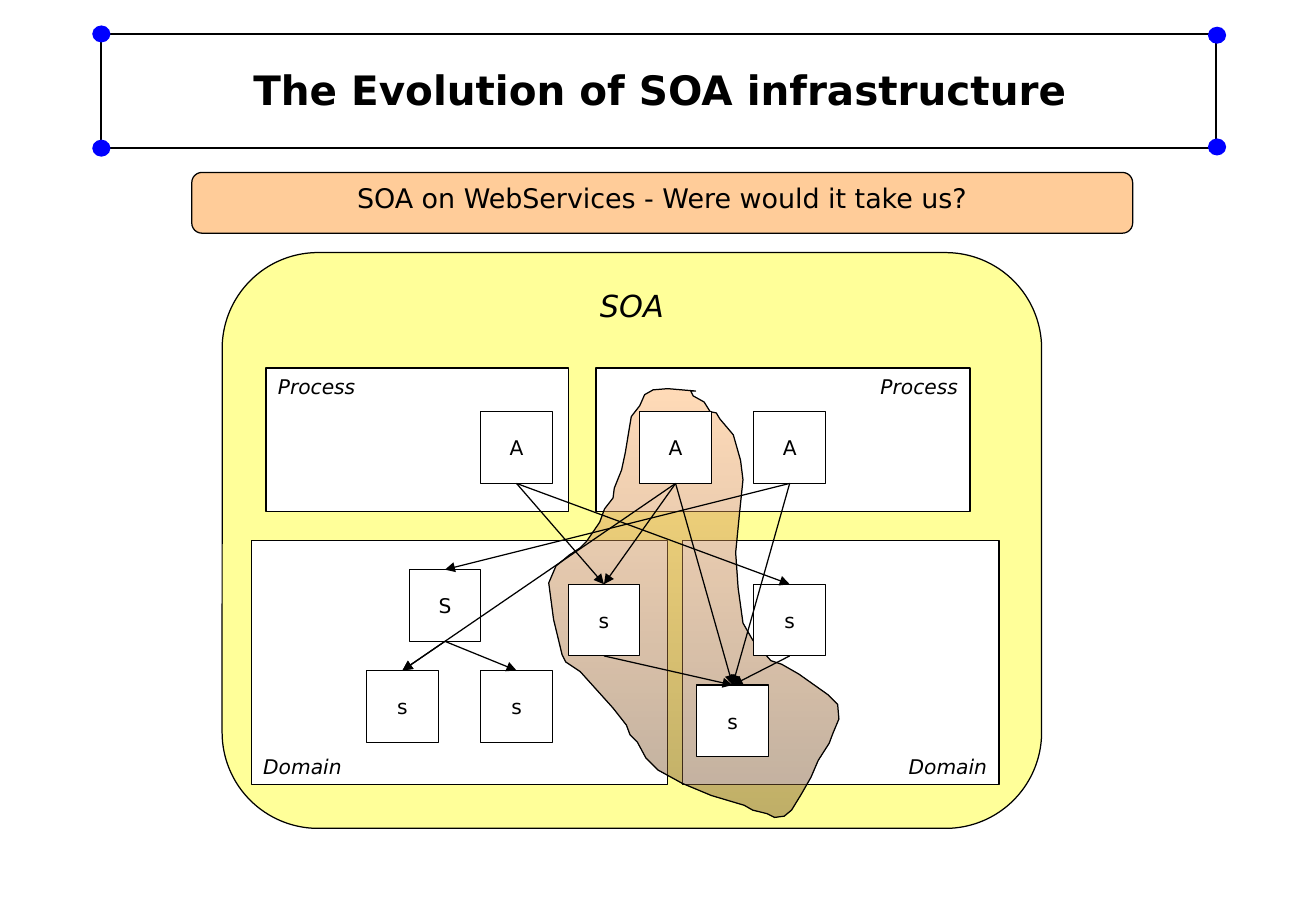
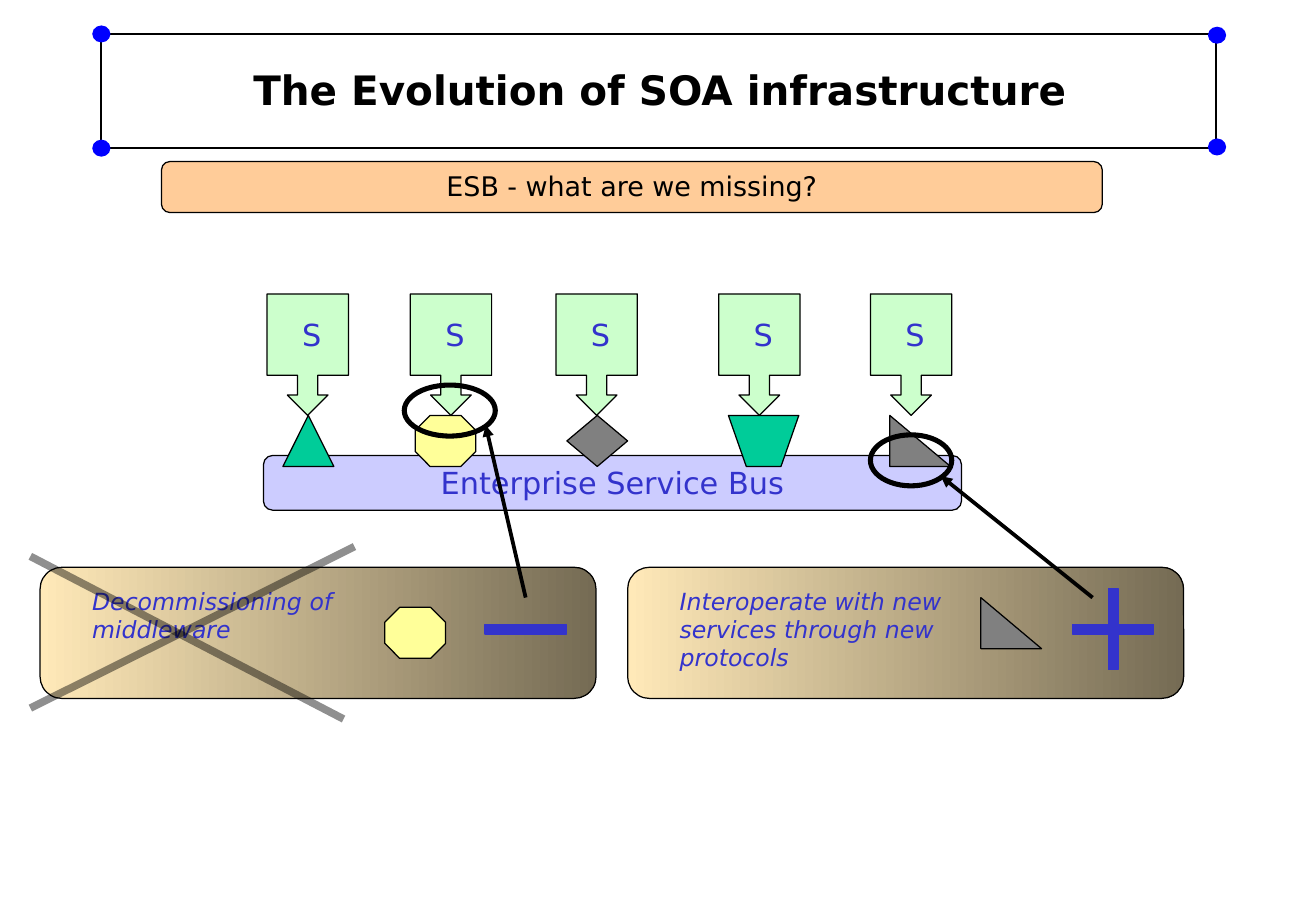
"""Build two slides on the evolution of SOA infrastructure."""
from lxml.etree import SubElement
from pptx import Presentation
from pptx.dml.color import RGBColor
from pptx.enum.shapes import MSO_CONNECTOR, MSO_SHAPE
from pptx.enum.text import MSO_ANCHOR, PP_ALIGN
from pptx.oxml.ns import qn
from pptx.util import Inches, Pt

BLACK, WHITE, INDIGO = "000000", "FFFFFF", "3333CC"
PEACH, YELLOW, GREEN, GRAY = "FFCC99", "FFFF99", "00CC99", "808080"
LEFT, CENTER, RIGHT = PP_ALIGN.LEFT, PP_ALIGN.CENTER, PP_ALIGN.RIGHT
TOP, MIDDLE, BOTTOM = MSO_ANCHOR.TOP, MSO_ANCHOR.MIDDLE, MSO_ANCHOR.BOTTOM


def paint(item, fill=(), line=BLACK, width=0.75, angle=0, opacity=100, arrow=False):
    """Set fill colours (none, one, or two for a gradient) and the outline."""
    if line:
        item.line.color.rgb = RGBColor.from_string(line)
        item.line.width = Pt(width)
    else:
        item.line.fill.background()
    properties = item._element.spPr
    if arrow:
        SubElement(properties.find(qn("a:ln")), qn("a:tailEnd"), type="triangle")
    see_through = properties.find(qn("a:ln"))
    if hasattr(item, "fill"):
        item.shadow.inherit = False
        if len(fill) == 2:
            item.fill.gradient()
            item.fill.gradient_angle = angle
            for stop, position, colour in zip(item.fill.gradient_stops, (0, 1), fill):
                stop.position = position
                stop.color.rgb = RGBColor.from_string(colour)
            see_through = properties.find(qn("a:gradFill"))
        elif fill:
            item.fill.solid()
            item.fill.fore_color.rgb = RGBColor.from_string(fill[0])
        else:
            item.fill.background()
    else:
        SubElement(properties, qn("a:effectLst"))
    if opacity < 100:
        for colour in see_through.iter(qn("a:srgbClr")):
            SubElement(colour, qn("a:alpha"), val=str(opacity * 1000))
    return item


def write(item, text, size=12, color=BLACK, bold=False, italic=False,
          align=CENTER, anchor=MIDDLE, wrap=True):
    """Put formatted text into a shape, text box or placeholder."""
    frame = item.text_frame
    frame.word_wrap = wrap
    frame.vertical_anchor = anchor
    frame.text = text
    paragraph = frame.paragraphs[0]
    paragraph.alignment = align
    font = paragraph.runs[0].font
    font.name, font.size, font.bold, font.italic = "DejaVu Sans", Pt(size), bold, italic
    font.color.rgb = RGBColor.from_string(color)
    return item


deck = Presentation()
deck.slide_width, deck.slide_height = Inches(10.84), Inches(7.5)

canvases = []
for banner_text, banner_box, banner_anchor in (
    ("SOA on WebServices - Were would it take us?", (1.58, 1.42, 7.75, 0.5), TOP),
    ("ESB - what are we missing?", (1.33, 1.33, 7.75, 0.42), TOP),
):
    slide = deck.slides.add_slide(deck.slide_layouts[5])
    shapes = slide.shapes
    canvases.append(shapes)
    frame_box = map(Inches, (0.83, 0.28, 9.19, 0.94))
    paint(shapes.add_shape(MSO_SHAPE.RECTANGLE, *frame_box), width=1.25)
    for left, top in ((0.76, 0.21), (9.95, 0.22), (9.95, 1.14), (0.76, 1.15)):
        corner_box = map(Inches, (left, top, 0.15, 0.14))
        paint(shapes.add_shape(MSO_SHAPE.OVAL, *corner_box), ["0000FF"], line=None)
    title = shapes.title
    title.left, title.top, title.width, title.height = map(Inches, (0.9, 0.36, 9.07, 0.75))
    write(title, "The Evolution of SOA infrastructure", size=24, bold=True)
    banner = shapes.add_shape(MSO_SHAPE.ROUNDED_RECTANGLE, *map(Inches, banner_box))
    write(paint(banner, [PEACH]), banner_text, size=16, anchor=banner_anchor)

soa, esb = canvases

landscape = soa.add_shape(MSO_SHAPE.ROUNDED_RECTANGLE, *map(Inches, (1.83, 2.08, 6.75, 4.74)))
write(paint(landscape, [YELLOW]), "SOA", size=18, italic=True, anchor=TOP)

for label, box, align, anchor in (
    ("Domain", (5.62, 4.45, 2.61, 2.01), RIGHT, BOTTOM),
    ("Domain", (2.07, 4.45, 3.43, 2.01), LEFT, BOTTOM),
    ("Process", (4.91, 3.03, 3.08, 1.18), RIGHT, TOP),
    ("Process", (2.19, 3.03, 2.49, 1.18), LEFT, TOP),
):
    region = paint(soa.add_shape(MSO_SHAPE.RECTANGLE, *map(Inches, box)), [WHITE])
    write(region, label, italic=True, align=align, anchor=anchor, wrap=False)

cloud_outline = [
    (5.73, 3.22), (5.5, 3.2), (5.38, 3.21), (5.31, 3.25), (5.27, 3.34), (5.2, 3.43),
    (5.15, 3.73), (5.12, 3.87), (5.06, 4.02), (5.05, 4.1), (4.98, 4.19), (4.94, 4.3),
    (4.83, 4.46), (4.78, 4.51), (4.69, 4.57), (4.58, 4.66), (4.52, 4.8), (4.56, 5.1),
    (4.63, 5.39), (4.66, 5.45), (4.78, 5.53), (5.05, 5.83), (5.16, 5.97), (5.19, 6.05),
    (5.25, 6.11), (5.32, 6.24), (5.42, 6.34), (5.62, 6.45), (5.86, 6.55), (6.13, 6.63),
    (6.2, 6.67), (6.32, 6.7), (6.38, 6.73), (6.46, 6.72), (6.52, 6.67), (6.6, 6.54),
    (6.68, 6.4), (6.74, 6.26), (6.83, 6.12), (6.86, 6.04), (6.91, 5.92), (6.9, 5.8),
    (6.82, 5.72), (6.58, 5.55), (6.44, 5.47), (6.35, 5.44), (6.2, 5.27), (6.12, 5.13),
    (6.08, 4.84), (6.06, 4.55), (6.09, 4.24), (6.12, 3.95), (6.1, 3.79), (6.04, 3.58),
    (5.93, 3.45), (5.9, 3.4), (5.85, 3.39), (5.8, 3.31), (5.71, 3.26), (5.69, 3.22),
]
cloud_points = [(Inches(x), Inches(y)) for x, y in cloud_outline]
cloud = soa.build_freeform(*cloud_points[0])
cloud.add_line_segments(cloud_points[1:], close=True)
paint(cloud.convert_to_shape(), ["FFB064", "75512E"], angle=270, opacity=45)

nodes = {}
for node, left, top in (
    ("A1", 3.96, 3.39), ("A2", 5.27, 3.39), ("A3", 6.21, 3.39),
    ("S1", 3.37, 4.69), ("s2", 4.68, 4.81), ("s3", 6.21, 4.81),
    ("s4", 3.02, 5.52), ("s5", 3.96, 5.52), ("s6", 5.74, 5.64),
):
    box = map(Inches, (left, top, 0.59, 0.59))
    nodes[node] = paint(soa.add_shape(MSO_SHAPE.RECTANGLE, *box), [WHITE])
    write(nodes[node], node[0], wrap=False)

for caller, called in (
    ("A1", "s3"), ("A1", "s2"), ("S1", "s4"), ("S1", "s5"), ("s2", "s6"), ("s3", "s6"),
    ("A2", "s2"), ("A2", "s4"), ("A2", "s6"), ("A3", "s6"), ("A3", "S1"),
):
    call = soa.add_connector(MSO_CONNECTOR.STRAIGHT, 0, 0, 0, 0)
    call.begin_connect(nodes[caller], 2)
    call.end_connect(nodes[called], 0)
    paint(call, arrow=True)

bus = esb.add_shape(MSO_SHAPE.ROUNDED_RECTANGLE, *map(Inches, (2.17, 3.75, 5.75, 0.45)))
write(paint(bus, ["CCCCFF"]), "Enterprise Service Bus", size=18, color=INDIGO)

for service_left, adapter_kind, adapter_left, adapter_width, colour in (
    (2.2, MSO_SHAPE.ISOSCELES_TRIANGLE, 2.33, 0.42, GREEN),
    (3.38, MSO_SHAPE.OCTAGON, 3.42, 0.5, YELLOW),
    (4.58, MSO_SHAPE.DIAMOND, 4.67, 0.5, GRAY),
    (5.92, MSO_SHAPE.TRAPEZOID, 6, 0.58, GREEN),
    (7.17, MSO_SHAPE.RIGHT_TRIANGLE, 7.33, 0.5, GRAY),
):
    adapter_box = map(Inches, (adapter_left, 3.42, adapter_width, 0.42))
    adapter = paint(esb.add_shape(adapter_kind, *adapter_box), [colour])
    if adapter_kind == MSO_SHAPE.TRAPEZOID:
        adapter.rotation = 180
        adapter.adjustments[0] = 0.35
    service_box = map(Inches, (service_left, 2.42, 0.67, 1))
    service = paint(esb.add_shape(MSO_SHAPE.DOWN_ARROW_CALLOUT, *service_box), ["CCFFCC"])
    service.adjustments[3] = 0.67
    letter = esb.add_textbox(*map(Inches, (service_left + 0.19, 2.55, 0.33, 0.4)))
    write(letter, "S", size=18, color=INDIGO, align=LEFT, anchor=TOP, wrap=False)

for left, goal, kind, kind_left, kind_top, colour, sign_bars in (
    (5.17, "Interoperate with new services through new protocols",
     MSO_SHAPE.RIGHT_TRIANGLE, 8.08, 4.92, GRAY, ((0.67, 0.08), (0.08, 0.67))),
    (0.33, "Decommissioning of middleware",
     MSO_SHAPE.OCTAGON, 3.17, 5, YELLOW, ((0.67, 0.08),)),
):
    card = esb.add_shape(MSO_SHAPE.ROUNDED_RECTANGLE, *map(Inches, (left, 4.67, 4.58, 1.08)))
    paint(card, ["FFE9B8", "756B54"])
    symbol_box = map(Inches, (kind_left, kind_top, 0.5, 0.42))
    paint(esb.add_shape(kind, *symbol_box), [colour])
    for width, height in sign_bars:
        bar_box = map(Inches, (left + 4 - width / 2, 5.18 - height / 2, width, height))
        paint(esb.add_shape(MSO_SHAPE.RECTANGLE, *bar_box), [INDIGO], line=INDIGO)
    goal_box = esb.add_textbox(*map(Inches, (left + 0.33, 4.78, 2.67, 0.8)))
    write(goal_box, goal, size=14, color=INDIGO, italic=True, align=LEFT, anchor=TOP)

for ring_box in ((3.33, 3.17, 0.75, 0.42), (7.17, 3.58, 0.67, 0.42)):
    paint(esb.add_shape(MSO_SHAPE.OVAL, *map(Inches, ring_box)), width=3)

for ends, line_format in (
    ((0.25, 4.58, 2.83, 5.92), {"width": 4.5, "opacity": 43}),
    ((2.92, 4.5, 0.25, 5.83), {"width": 4.5, "opacity": 43}),
    ((4.33, 4.92, 4, 3.5), {"width": 2.25, "arrow": True}),
    ((9, 4.92, 7.75, 3.92), {"width": 2.25, "arrow": True}),
):
    stroke = esb.add_connector(MSO_CONNECTOR.STRAIGHT, *map(Inches, ends))
    paint(stroke, **line_format)

deck.save("out.pptx")
